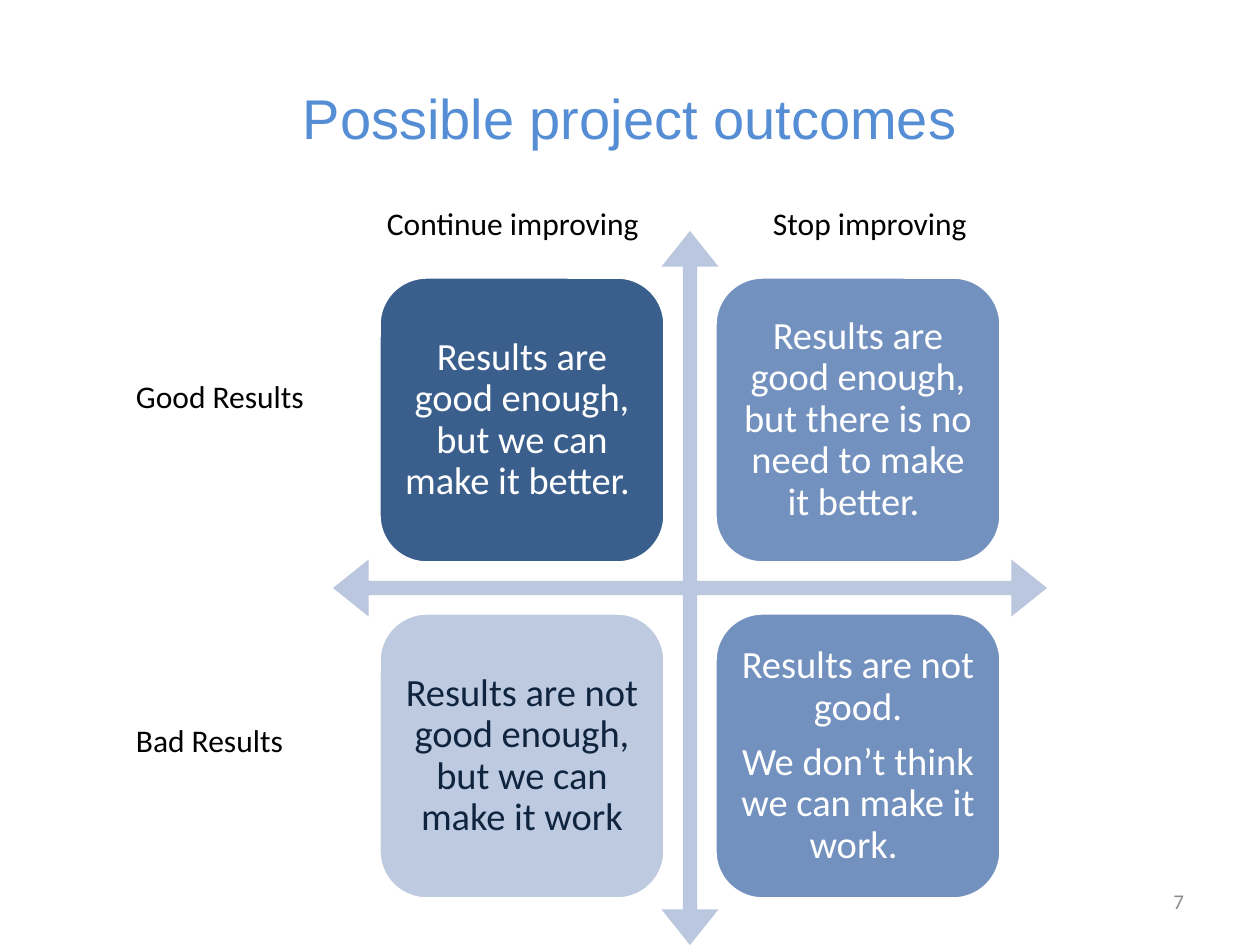
import pptx
import pptx.util
import pptx.dml.color
import pptx.enum.shapes
import pptx.enum.text

SCALE = 914400 // 126  # EMU in one px
KIND = pptx.enum.shapes.MSO_SHAPE
ALIGN = pptx.enum.text.PP_ALIGN
MIDDLE = pptx.enum.text.MSO_ANCHOR.MIDDLE


def px(*nums):
    return [pptx.util.Emu(n * SCALE) for n in nums]


def hue(code):
    return pptx.dml.color.RGBColor.from_string(code)


def write(shape, text, size=18, color="000000", font="Calibri",
          align=ALIGN.LEFT, pad=(13, 6), wrap=True, lead=None, after=0):
    frame = shape.text_frame
    frame.word_wrap = wrap
    frame.vertical_anchor = MIDDLE
    frame.margin_left = frame.margin_right = px(pad[0])[0]
    frame.margin_top = frame.margin_bottom = px(pad[1])[0]
    frame.text = text
    for para in frame.paragraphs:
        para.alignment = align
        para.line_spacing = lead
        para.space_after = pptx.util.Pt(after)
        para.font.size = pptx.util.Pt(size)
        para.font.name = font
        para.font.color.rgb = hue(color)


def label(slide, box, text, **form):
    write(slide.shapes.add_textbox(*px(*box)), text, **form)


def block(slide, kind, box, fill):
    shape = slide.shapes.add_shape(kind, *px(*box))
    shape.shadow.inherit = False
    shape.fill.solid()
    shape.fill.fore_color.rgb = hue(fill)
    shape.line.fill.background()
    return shape


def cross(slide, box, fill):
    shape = block(slide, KIND.QUAD_ARROW, box, fill)
    for i, part in enumerate((0.02, 0.04, 0.05)):
        shape.adjustments[i] = part


def card(slide, box, fill, text, color):
    shape = block(slide, KIND.ROUNDED_RECTANGLE, box, fill)
    shape.line.color.rgb = hue("FFFFFF")
    shape.line.width = pptx.util.Pt(2)
    write(shape, text, size=22, color=color, align=ALIGN.CENTER,
          pad=(11, 11), lead=0.9, after=7.7)


def main():
    deck = pptx.Presentation()
    deck.slide_width, deck.slide_height = px(1260, 945)
    slide = deck.slides.add_slide(deck.slide_layouts[6])

    # Title and page number
    label(slide, (63, 38, 1134, 158), "Possible project outcomes", size=32,
          color="558ED5", font="Arial", align=ALIGN.CENTER)
    label(slide, (903, 876, 294, 50), "7", size=12, color="8C8C8C",
          align=ALIGN.RIGHT)

    # Axes
    cross(slide, (333, 231, 714, 714), "BBC7DE")

    # Outcomes, row by row
    cards = [
        ("3A5F8C", "FFFFFF",
         "Results are good enough, but we can make it better. "),
        ("7391BF", "FFFFFF",
         "Results are good enough, but there is no need to make it better. "),
        ("BECADF", "0F243E",
         "Results are not good enough, but we can make it work"),
        ("7391BF", "FFFFFF",
         "Results are not good.\nWe don’t think we can make it work. "),
    ]
    side, step = 286, 336
    for i, (fill, color, text) in enumerate(cards):
        row, col = divmod(i, 2)
        box = (379 + col * step, 277 + row * step, side, side)
        card(slide, box, fill, text, color)

    # Row and column names
    names = [
        ((123, 371, 195, 50), "Good Results"),
        ((123, 715, 174, 50), "Bad Results"),
        ((374, 198, 281, 50), "Continue improving"),
        ((760, 198, 222, 50), "Stop improving"),
    ]
    for box, text in names:
        label(slide, box, text, wrap=False)

    deck.save("out.pptx")


if __name__ == "__main__":
    main()
